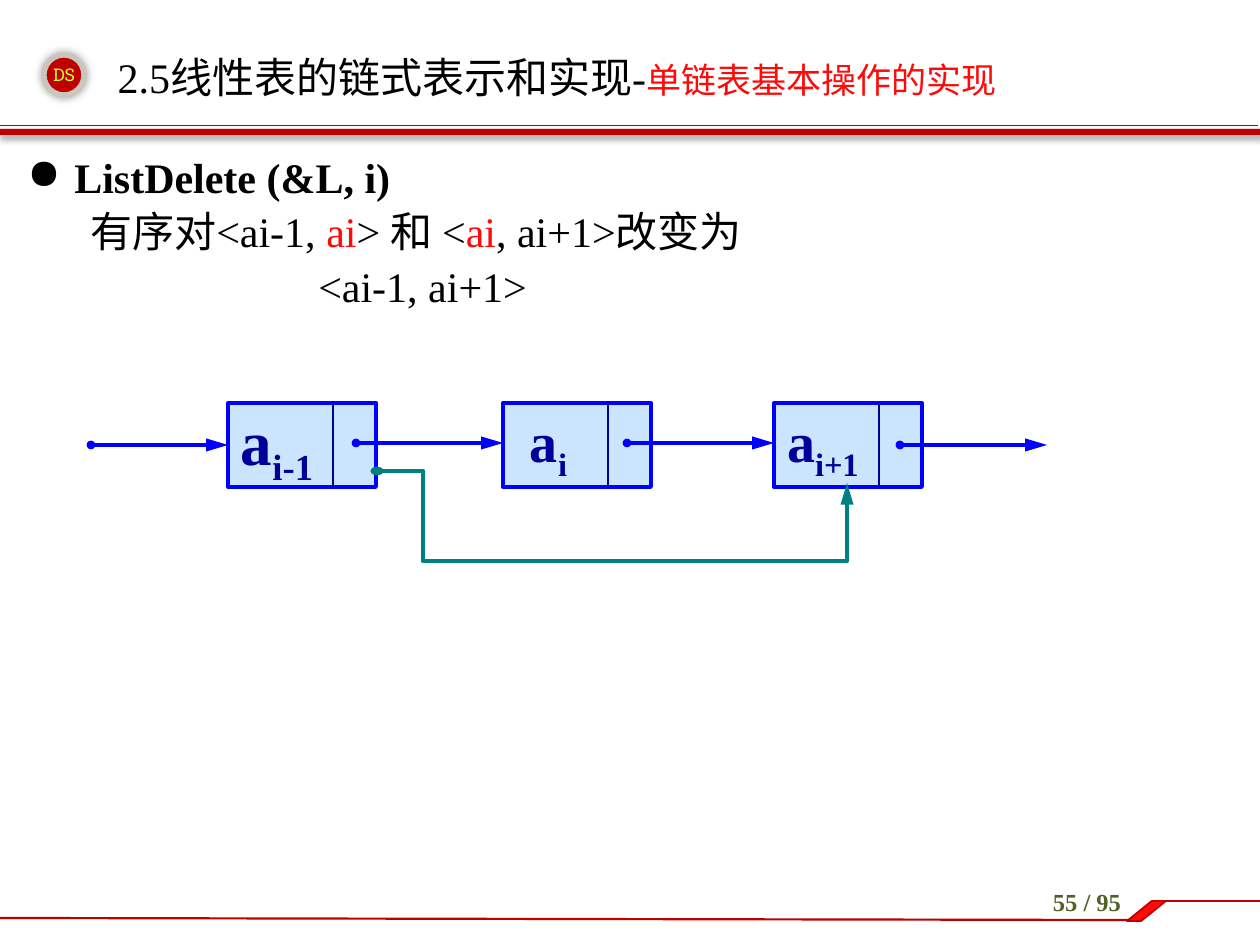
from lxml.etree import SubElement
from pptx import Presentation
from pptx.dml.color import RGBColor
from pptx.enum.shapes import MSO_CONNECTOR, MSO_SHAPE
from pptx.enum.text import MSO_ANCHOR, MSO_AUTO_SIZE, PP_ALIGN
from pptx.oxml.ns import qn
from pptx.util import Pt

COLORS = {
    "black": "000000", "crimson": "C00000", "red": "FF0909", "silver": "C8C6BD",
    "lime": "CCFF33", "olive": "4F6228", "sky": "99CCFF", "blue": "0000FF",
    "navy": "000099", "teal": "008080",
}
SERIF = "Times New Roman"
BODY = {"name": SERIF, "size": 24, "color": "black"}
BOLD = {**BODY, "bold": True}
RED = {**BODY, "color": "red"}

TITLE = [("2.5线性表的链式表示和实现-", BODY),
         ("单链表基本操作的实现", {**RED, "size": 20})]

# runs, left margin px, first-line indent px, bullet
EXPLANATION = [
    ([("ListDelete (&L, i)", BOLD)], 47, -47, "●"),
    ([("有序对<ai-1, ", BODY), ("ai", RED), ("> 和 <", BODY), ("ai", RED),
      (", ai+1>改变为", BODY)], 63, 0, None),
    ([("<ai-1, ai+1>", BODY)], 291, 0, None),
]

# left px, subscript, text size, text inset px
NODES = [(228, "i-1", 36, 13), (503, "i", 32, 27), (774, "i+1", 32, 13)]
NODE_TOP, NODE_W, NODE_H, DIVIDER = 403, 148, 84, 105

# x1, x2, y in px
POINTERS = [(91, 228, 445), (356, 503, 443), (627, 774, 443), (900, 1047, 445)]

# start, end, colour, width pt
RULES = [
    ((0, 125), (1258, 125), "crimson", 0.25),
    ((0, 918), (1129, 920), "crimson", 1.25),
    ((1155, 901), (1260, 901), "crimson", 1.5),
]
BYPASS = {"start": (377, 471), "end": (847, 483), "turn_x": 423, "turn_y": 561}


def px(n):
    return round(n * 914400 / 126)


def rgb(name):
    return RGBColor.from_string(COLORS[name])


def child(parent, tag, **attributes):
    return SubElement(parent, qn(tag), {k: str(v) for k, v in attributes.items()})


def write_runs(paragraph, runs):
    for text, style in runs:
        run = paragraph.add_run()
        run.text = text
        for key, value in style.items():
            if key == "color":
                run.font.color.rgb = rgb(value)
            elif key == "baseline":
                run._r.get_or_add_rPr().set("baseline", str(value))
            else:
                setattr(run.font, key, Pt(value) if key == "size" else value)


def format_frame(frame, **settings):
    for key, value in {"word_wrap": True, "auto_size": MSO_AUTO_SIZE.NONE,
                       **settings}.items():
        setattr(frame, key, value)


def add_text(slide, box, runs, align):
    frame = slide.shapes.add_textbox(*map(px, box)).text_frame
    format_frame(frame)
    frame.paragraphs[0].alignment = align
    write_runs(frame.paragraphs[0], runs)


def add_block(slide, kind, box, fill, line=None, width=0):
    block = slide.shapes.add_shape(kind, *map(px, box))
    block.shadow.inherit = False
    block.fill.solid()
    block.fill.fore_color.rgb = rgb(fill)
    if line:
        block.line.color.rgb = rgb(line)
        block.line.width = Pt(width)
    else:
        block.line.fill.background()
    return block


def add_shadow(block, blur, distance, angle):
    effects = block._element.spPr.find(qn("a:effectLst"))
    shadow = child(effects, "a:outerShdw", blurRad=Pt(blur), dist=Pt(distance),
                   dir=angle * 60000, algn="ctr", rotWithShape=0)
    color = child(shadow, "a:srgbClr", val=COLORS["black"])
    child(color, "a:alpha", val=40000)


def add_line(slide, start, end, color, width, kind=MSO_CONNECTOR.STRAIGHT, dot_length=None):
    """Draw a connector; a dot length makes it a pointer with dot and arrowhead."""
    line = slide.shapes.add_connector(kind, *map(px, (*start, *end)))
    line.line.color.rgb = rgb(color)
    line.line.width = Pt(width)
    if dot_length:
        outline = line.line._get_or_add_ln()
        child(outline, "a:headEnd", type="oval", w="sm", len=dot_length)
        child(outline, "a:tailEnd", type="triangle", w="med", len="lg")
    child(line._element.spPr, "a:effectLst")
    return line


def add_node(slide, left, subscript, size, inset):
    box = add_block(slide, MSO_SHAPE.RECTANGLE, (left, NODE_TOP, NODE_W, NODE_H),
                    "sky", "blue", 2.25)
    color = box._element.spPr.find(qn("a:solidFill")).find(qn("a:srgbClr"))
    child(color, "a:alpha", val=50000)
    frame = box.text_frame
    format_frame(frame, vertical_anchor=MSO_ANCHOR.MIDDLE, margin_left=px(inset),
                 margin_right=0)
    frame.paragraphs[0].alignment = PP_ALIGN.LEFT
    style = {**BOLD, "size": size, "color": "navy"}
    write_runs(frame.paragraphs[0],
               [("a", style), (subscript, {**style, "baseline": -25000})])
    x = left + DIVIDER
    add_line(slide, (x, NODE_TOP), (x, NODE_TOP + NODE_H), "navy", 0.75)


def add_bypass(slide, start, end, turn_x, turn_y):
    line = add_line(slide, start, end, "teal", 2.5, MSO_CONNECTOR.ELBOW, "med")
    geometry = line._element.spPr.find(qn("a:prstGeom"))
    geometry.set("prst", "bentConnector4")
    guides = geometry.find(qn("a:avLst"))
    for i, turn in enumerate((turn_x, turn_y)):
        ratio = (turn - start[i]) / (end[i] - start[i])
        child(guides, "a:gd", name=f"adj{i + 1}", fmla=f"val {round(ratio * 100000)}")


def add_explanation(slide):
    frame = slide.shapes.add_textbox(*map(px, (15, 145, 1221, 774))).text_frame
    format_frame(frame)
    for i, (runs, margin, indent, bullet) in enumerate(EXPLANATION):
        paragraph = frame.add_paragraph() if i else frame.paragraphs[0]
        paragraph.space_before = Pt(2.4)
        properties = paragraph._p.get_or_add_pPr()
        properties.set("marL", str(px(margin)))
        properties.set("indent", str(px(indent)))
        if bullet:
            child(properties, "a:buChar", char=bullet)
        write_runs(paragraph, runs)


def add_title(slide):
    title = slide.shapes.title
    for side, value in zip(("left", "top", "width", "height"), (105, 38, 1002, 77)):
        setattr(title, side, px(value))
    format_frame(title.text_frame, vertical_anchor=MSO_ANCHOR.MIDDLE)
    paragraph = title.text_frame.paragraphs[0]
    paragraph.alignment = PP_ALIGN.LEFT
    write_runs(paragraph, TITLE)


def main():
    deck = Presentation()
    deck.slide_width, deck.slide_height = px(1260), px(945)
    slide = deck.slides.add_slide(deck.slide_layouts[5])

    badge = add_block(slide, MSO_SHAPE.OVAL, (44, 55, 40, 40), "crimson", "silver", 3)
    add_shadow(badge, 5, 0, 0)
    band = add_block(slide, MSO_SHAPE.RECTANGLE, (-4, 129, 1264, 6), "crimson")
    add_shadow(band, 4, 3, 45)
    for rule in RULES:
        add_line(slide, *rule)
    tab = add_block(slide, MSO_SHAPE.PARALLELOGRAM, (1127, 901, 39, 20), "red", "crimson", 1)
    tab.adjustments[0] = 1.24
    add_text(slide, (1008, 881, 158, 50),
             [("55 / 95", {**BOLD, "size": 14, "color": "olive"})], PP_ALIGN.CENTER)
    add_text(slide, (30, 58, 68, 34),
             [("DS", {"name": "Roboto Slab", "size": 10, "color": "lime"})], PP_ALIGN.CENTER)

    add_title(slide)
    add_explanation(slide)
    for node in NODES:
        add_node(slide, *node)
    for x1, x2, y in POINTERS:
        add_line(slide, (x1, y), (x2, y), "blue", 2.5, dot_length="sm")
    add_bypass(slide, **BYPASS)
    deck.save("out.pptx")


if __name__ == "__main__":
    main()
